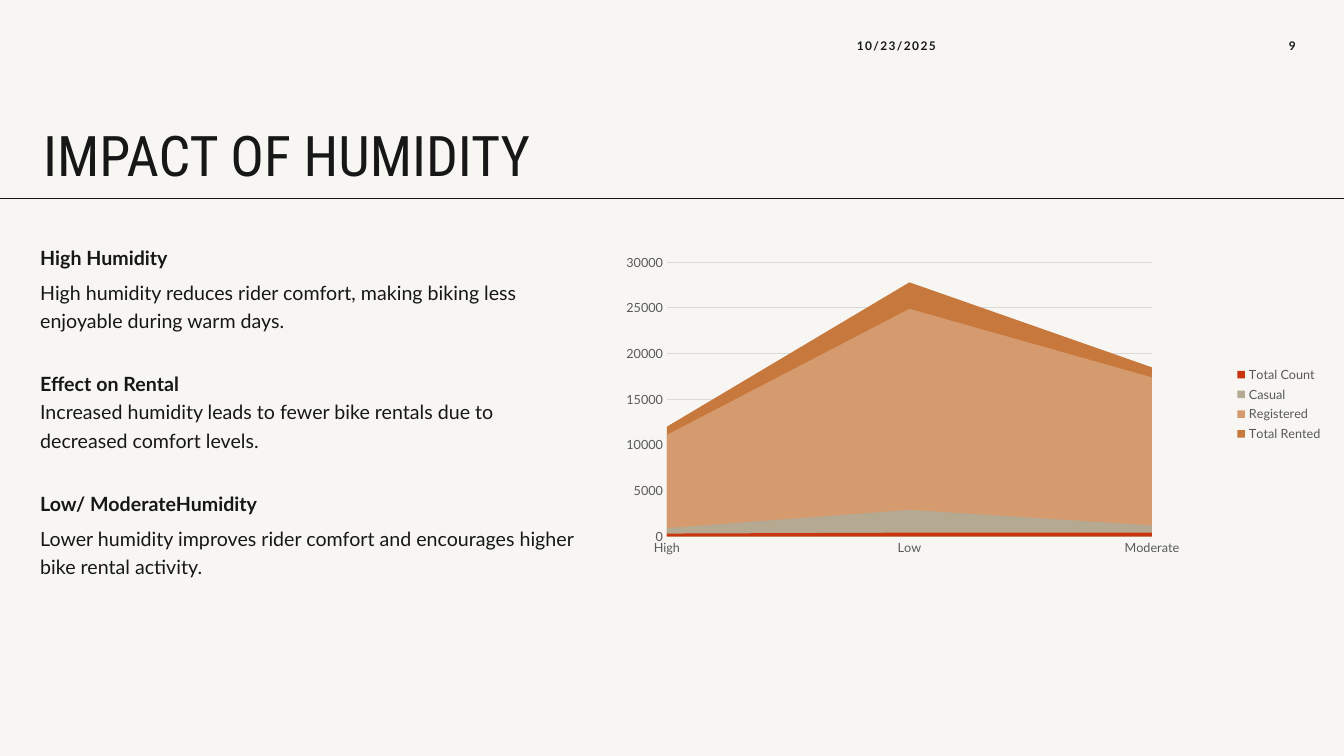
from lxml.etree import SubElement
from pptx import Presentation
from pptx.chart.data import CategoryChartData
from pptx.dml.color import RGBColor
from pptx.enum.chart import XL_CHART_TYPE, XL_LEGEND_POSITION, XL_TICK_MARK
from pptx.enum.shapes import MSO_CONNECTOR
from pptx.enum.text import MSO_ANCHOR, PP_ALIGN
from pptx.oxml import parse_xml
from pptx.oxml.ns import nsdecls, qn
from pptx.util import Inches, Pt

PAPER = RGBColor(0xF7, 0xF6, 0xF3)
INK = RGBColor(0x17, 0x17, 0x17)
AXIS_GRAY = RGBColor(0x59, 0x59, 0x59)
GRID_GRAY = RGBColor(0xD9, 0xD9, 0xD9)
RED = RGBColor(0xC8, 0x35, 0x0F)
SAND = RGBColor(0xB6, 0xA9, 0x92)
PEACH = RGBColor(0xD5, 0x9A, 0x6D)
OCHRE = RGBColor(0xC7, 0x79, 0x3D)

HUMIDITY_LEVELS = ["High", "Low", "Moderate"]
RENTALS = [
    ("Total Count", [300, 400, 400], RED),
    ("Casual", [900, 2900, 1200], SAND),
    ("Registered", [11100, 24900, 17400], PEACH),
    ("Total Rented", [12000, 27800, 18500], OCHRE),
]


def format_run(paragraph, text, font="Lato", size=14, color=INK, bold=False, tracking=0):
    """Append a run; tracking is the letter spacing in points."""
    run = paragraph.add_run()
    run.text = text
    run.font.name = font
    run.font.size = Pt(size)
    run.font.color.rgb = color
    run.font.bold = bold
    if tracking:
        run.font._element.set("spc", str(int(tracking * 100)))


def style_chart_font(font):
    font.name = "Lato"
    font.size = Pt(9)
    font.color.rgb = AXIS_GRAY


def style_line(line, color):
    line.color.rgb = color
    line.width = Pt(0.75)


class HumiditySlide:
    def __init__(self, presentation):
        self.slide = presentation.slides.add_slide(presentation.slide_layouts[6])
        self.slide.background.fill.solid()
        self.slide.background.fill.fore_color.rgb = PAPER

    def frame(self, left, top, width, height, anchor=MSO_ANCHOR.TOP):
        box = self.slide.shapes.add_textbox(
            Inches(left), Inches(top), Inches(width), Inches(height))
        box.text_frame.word_wrap = True
        box.text_frame.vertical_anchor = anchor
        return box.text_frame

    def label(self, text, place, anchor=MSO_ANCHOR.MIDDLE, align=PP_ALIGN.LEFT,
              line_spacing=1.0, space_after=0, **style):
        paragraph = self.frame(*place, anchor=anchor).paragraphs[0]
        paragraph.alignment = align
        paragraph.line_spacing = line_spacing
        paragraph.space_after = Pt(space_after)
        format_run(paragraph, text, **style)

    def findings(self, place, paragraphs):
        """Write paragraphs given as (space before, [(text, bold), ...])."""
        frame = self.frame(*place)
        for index, (space_before, parts) in enumerate(paragraphs):
            paragraph = frame.add_paragraph() if index else frame.paragraphs[0]
            paragraph.line_spacing = 1.2
            paragraph.space_before = Pt(space_before)
            for part_index, (text, bold) in enumerate(parts):
                if part_index:
                    paragraph.add_line_break()
                format_run(paragraph, text, bold=bold)

    def rule(self, y, width):
        divider = self.slide.shapes.add_connector(
            MSO_CONNECTOR.STRAIGHT, 0, Inches(y), Inches(width), Inches(y))
        style_line(divider.line, INK)
        SubElement(divider._element.spPr, qn("a:effectLst"))

    def area_chart(self, place, plot, categories, series):
        """Draw an area chart; plot is the inner area as fractions of the chart."""
        data = CategoryChartData(number_format="General")
        data.categories = categories
        for name, values, _ in series:
            data.add_series(name, values)
        chart = self.slide.shapes.add_chart(
            XL_CHART_TYPE.AREA, *map(Inches, place), data).chart
        chart.has_title = False
        chart.font.name = "Lato"
        chart.font.size = Pt(10)
        chart.has_legend = True
        chart.legend.position = XL_LEGEND_POSITION.RIGHT
        chart.legend.include_in_layout = False
        style_chart_font(chart.legend.font)

        chart.plots[0].vary_by_categories = False
        for area, (_, _, color) in zip(chart.plots[0].series, series):
            area.format.fill.solid()
            area.format.fill.fore_color.rgb = color
            area.format.line.fill.background()

        for axis in (chart.category_axis, chart.value_axis):
            axis.major_tick_mark = axis.minor_tick_mark = XL_TICK_MARK.NONE
            style_chart_font(axis.tick_labels.font)
        chart.category_axis.has_major_gridlines = False
        style_line(chart.category_axis.format.line, GRID_GRAY)
        values_axis = chart.value_axis
        values_axis.minimum_scale, values_axis.maximum_scale = 0, 30000
        values_axis.major_unit = 5000
        values_axis.format.line.fill.background()
        values_axis.has_major_gridlines = True
        style_line(values_axis.major_gridlines.format.line, GRID_GRAY)
        values_axis._element.find(qn("c:crossBetween")).set("val", "midCat")

        plot_area = chart._chartSpace.chart.plotArea
        for layout in plot_area.findall(qn("c:layout")):
            plot_area.remove(layout)
        modes = "".join(f'<c:{side}Mode val="edge"/>' for side in "xy")
        sizes = "".join(f'<c:{side} val="{share}"/>' for side, share in zip("xywh", plot))
        plot_area.insert(0, parse_xml(
            f'<c:layout {nsdecls("c")}><c:manualLayout><c:layoutTarget val="inner"/>'
            f'{modes}{sizes}</c:manualLayout></c:layout>'))


def main():
    presentation = Presentation()
    presentation.slide_width = Inches(13.33)
    presentation.slide_height = Inches(7.5)
    page = HumiditySlide(presentation)

    page.rule(1.97, 13.33)
    page.label("IMPACT OF HUMIDITY", (0.33, 0.68, 12.31, 1.21), anchor=MSO_ANCHOR.BOTTOM,
               line_spacing=0.7, font="Roboto Condensed", size=40)
    page.label("10/23/2025", (8.4, 0.23, 2.1, 0.45), space_after=6,
               size=8.5, bold=True, tracking=1)
    page.label("9", (12.35, 0.23, 0.6, 0.45), align=PP_ALIGN.RIGHT, space_after=6,
               size=8.5, bold=True)
    page.findings((0.3, 2.34, 5.59, 4.69), [
        (0, [("High Humidity", True)]),
        (5, [("High humidity reduces rider comfort, making biking less "
              "enjoyable during warm days.", False)]),
        (25, [("Effect on Rental", True),
              ("Increased humidity leads to fewer bike rentals due to "
               "decreased comfort levels.", False)]),
        (25, [("Low/ ModerateHumidity", True)]),
        (5, [("Lower humidity improves rider comfort and encourages higher "
              "bike rental activity.", False)]),
    ])
    page.area_chart((6.04, 2.41, 7.18, 3.2), (0.08, 0.06, 0.67, 0.85),
                    HUMIDITY_LEVELS, RENTALS)
    presentation.save("out.pptx")


if __name__ == "__main__":
    main()
